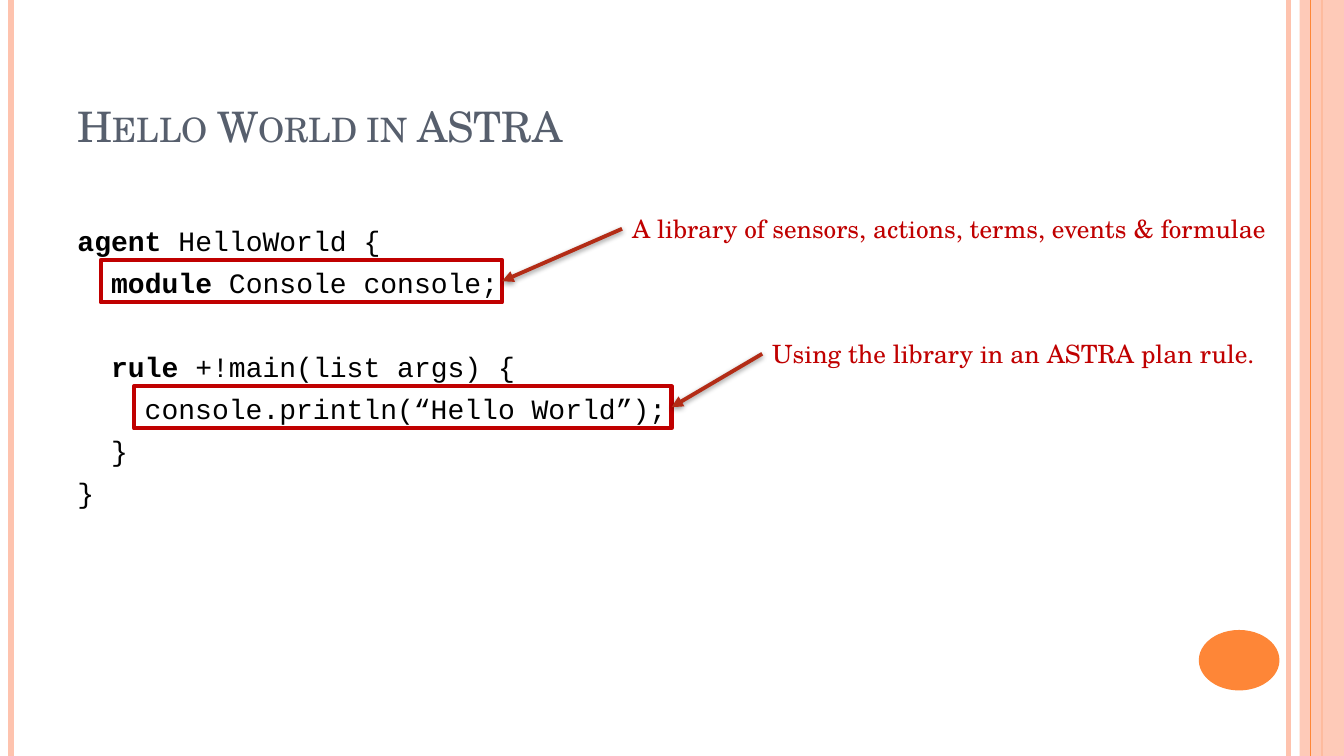
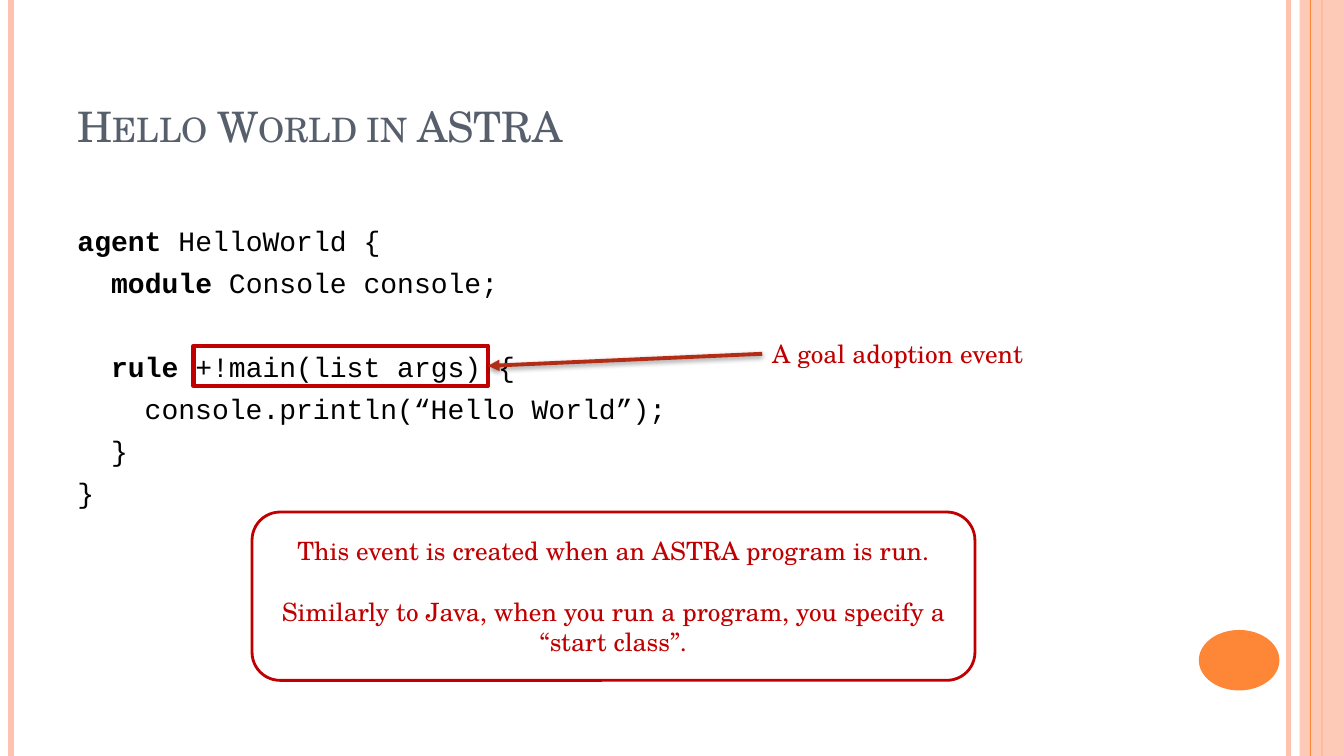
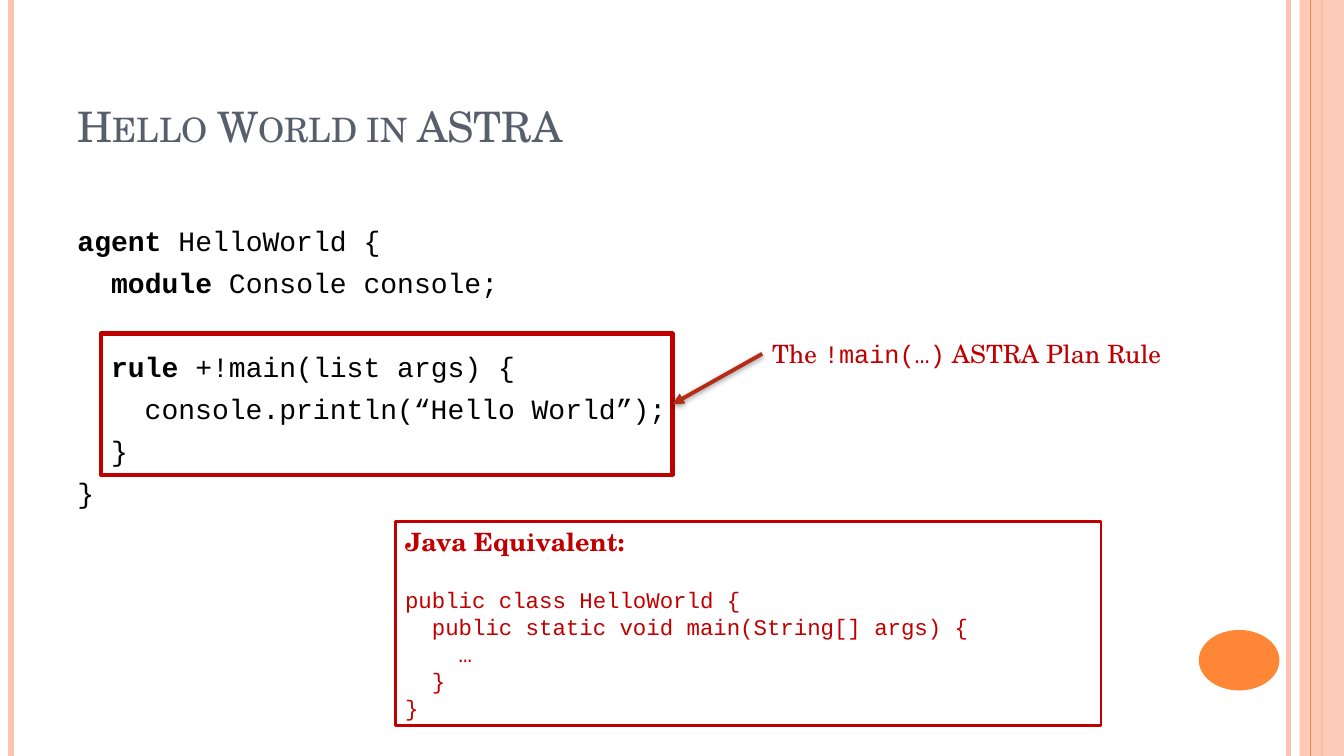
"""Build three slides that explain Hello World in ASTRA."""
import pptx
import pptx.util
import pptx.dml.color
import pptx.enum.shapes
import pptx.enum.text
import pptx.oxml
import pptx.oxml.ns
from dataclasses import dataclass

Inches = pptx.util.Inches
Pt = pptx.util.Pt
Color = pptx.dml.color.RGBColor.from_string
Kind = pptx.enum.shapes.MSO_SHAPE
Line = pptx.enum.shapes.MSO_CONNECTOR.STRAIGHT
Anchor = pptx.enum.text.MSO_ANCHOR
Align = pptx.enum.text.PP_ALIGN
qn = pptx.oxml.ns.qn
NS = 'xmlns:a="http://schemas.openxmlformats.org/drawingml/2006/main"'


@dataclass
class Theme:
    serif: str = "TeX Gyre Schola"
    mono: str = "Courier New"
    pale: str = "FEC3AE"
    orange: str = "FE8637"
    slate: str = "575F6D"
    black: str = "000000"
    white: str = "FFFFFF"
    red: str = "C00000"
    rust: str = "B32C16"
    head: int = 30
    code: int = 20
    note: int = 18
    small: int = 16


theme = Theme()


def write(frame, lines, size, face, color, gap=0):
    """Write lines of (text, mark) parts: b is bold, m is mono."""
    for row, parts in enumerate(lines):
        para = frame.paragraphs[0] if row == 0 else frame.add_paragraph()
        para.space_before = Pt(gap if row else 0)
        para.font.size = Pt(size)
        para.font.name = face
        para.font.color.rgb = Color(color)
        for text, mark in parts:
            run = para.add_run()
            run.text = text
            if mark == "b":
                run.font.bold = True
            if mark == "m":
                run.font.name = theme.mono


def draw(slide, start, end, color, width, effect=""):
    """Draw a straight line with the given effect."""
    line = slide.shapes.add_connector(
        Line, *[Inches(n) for n in (*start, *end)])
    line.line.color.rgb = Color(color)
    line.line.width = Pt(width)
    line._element.spPr.append(
        pptx.oxml.parse_xml(f"<a:effectLst {NS}>{effect}</a:effectLst>"))
    return line


shadow = ('<a:outerShdw blurRad="50800" dist="20000" dir="5400000" '
          'rotWithShape="0"><a:srgbClr val="000000">'
          '<a:alpha val="42000"/></a:srgbClr></a:outerShdw>')
code = [
    [("agent", "b"), (" HelloWorld {", "")],
    [("  ", ""), ("module", "b"), (" Console console;", "")],
    [("  ", ""), ("rule", "b"), (" +!main(list args) {", "")],
    [("    console.println(“Hello World”);", "")],
    [("  }", "")],
    [("}", "")],
]
calls = [
    [
        ((1, 2.58, 3.98, 0.42), (6.17, 2.07, 6.55, 0.4),
         [("A library of sensors, actions, terms, events & formulae", "")]),
        ((1.33, 3.83, 5.33, 0.42), (7.56, 3.31, 5.02, 0.4),
         [("Using the library in an ASTRA plan rule.", "")]),
    ],
    [
        ((1.92, 3.43, 2.92, 0.4), (7.56, 3.31, 2.73, 0.4),
         [("A goal adoption event", "")]),
    ],
    [
        ((1, 3.31, 5.67, 1.4), (7.56, 3.31, 4.1, 0.4),
         [("The ", ""), ("!main(…)", "m"), (" ASTRA Plan Rule", "")]),
    ],
]

deck = pptx.Presentation()
deck.slide_width = Inches(13.33)
deck.slide_height = Inches(7.5)
slides = []

for group in calls:
    slide = deck.slides.add_slide(deck.slide_layouts[6])
    slides.append(slide)
    shapes = slide.shapes

    for left, color, width in [(12.78, theme.pale, 3), (0.11, theme.pale, 4.5),
                               (13.11, theme.orange, 1.5)]:
        draw(slide, (left, 0), (left, 7.5), color, width)
    for kind, place, color in [
            (Kind.RECTANGLE, (12.89, 0, 0.44, 7.5), theme.pale),
            (Kind.OVAL, (11.89, 6.25, 0.8, 0.6), theme.orange)]:
        shape = shapes.add_shape(kind, *[Inches(n) for n in place])
        shape.shadow.inherit = False
        shape.fill.solid()
        shape.fill.fore_color.rgb = Color(color)
        shape.line.fill.background()
        if kind == Kind.RECTANGLE:
            tint = shape._element.spPr.find(".//" + qn("a:srgbClr"))
            tint.append(pptx.oxml.parse_xml(f'<a:alpha {NS} val="87000"/>'))
    for left, color, width in [(13.11, theme.orange, 0.75),
                               (13, theme.orange, 0.75)][1:]:
        draw(slide, (left, 0), (left, 7.5), color, width)

    title = shapes.add_textbox(
        Inches(0.67), Inches(0.3), Inches(10.89), Inches(1.25)).text_frame
    title.word_wrap = True
    title.vertical_anchor = Anchor.BOTTOM
    write(title, [[("Hello World in ASTRA", "")]],
          theme.head, theme.serif, theme.slate)
    title.paragraphs[0].runs[0]._r.get_or_add_rPr().set("cap", "small")

    body = shapes.add_textbox(
        Inches(0.67), Inches(2.17), Inches(10.89), Inches(4.91)).text_frame
    body.word_wrap = True
    write(body, code, theme.code, theme.mono, theme.black, 6)
    body.paragraphs[2].space_before = Pt(36)

    for place, spot, words in group:
        box = shapes.add_shape(Kind.RECTANGLE, *[Inches(n) for n in place])
        box.shadow.inherit = False
        box.fill.background()
        box.line.color.rgb = Color(theme.red)
        box.line.width = Pt(3)
        label = shapes.add_textbox(*[Inches(n) for n in spot])
        label.text_frame.word_wrap = False
        write(label.text_frame, [words], theme.note, theme.serif, theme.red)
        arrow = draw(slide, spot[:2], place[:2], theme.rust, 2.75, shadow)
        arrow.begin_connect(label, 1)
        arrow.end_connect(box, 3)
        arrow.line._get_or_add_ln().append(
            pptx.oxml.parse_xml(f'<a:tailEnd {NS} type="triangle"/>'))

event = [
    [("This event is created when an ASTRA program is run.", "")],
    [("Similarly to Java, when you run a program, "
      "you specify a “start class”.", "")],
]
java = [
    [("Java Equivalent:", "b")],
    [("public class HelloWorld {", "")],
    [("  public static void main(String[] args) {", "")],
    [("    …", "")],
    [("  }", "")],
    [("}", "")],
]
for slide, kind, place, lines, anchor, align in [
        (slides[1], Kind.ROUNDED_RECTANGLE, (2.5, 5.08, 7.17, 1.67),
         event, Anchor.MIDDLE, Align.CENTER),
        (slides[2], Kind.RECTANGLE, (3.92, 5.17, 7, 2.03),
         java, Anchor.TOP, Align.LEFT)]:
    panel = slide.shapes.add_shape(kind, *[Inches(n) for n in place])
    panel.shadow.inherit = False
    panel.fill.solid()
    panel.fill.fore_color.rgb = Color(theme.white)
    panel.line.color.rgb = Color(theme.red)
    panel.line.width = Pt(2)
    frame = panel.text_frame
    frame.word_wrap = True
    frame.vertical_anchor = anchor
    write(frame, lines, theme.note, theme.serif, theme.red)
    frame.paragraphs[1].space_before = Pt(21.6)
    for para in frame.paragraphs:
        para.alignment = align
    if lines is java:
        for para in frame.paragraphs[1:]:
            para.font.size = Pt(theme.small)
            para.font.name = theme.mono

deck.save("out.pptx")
